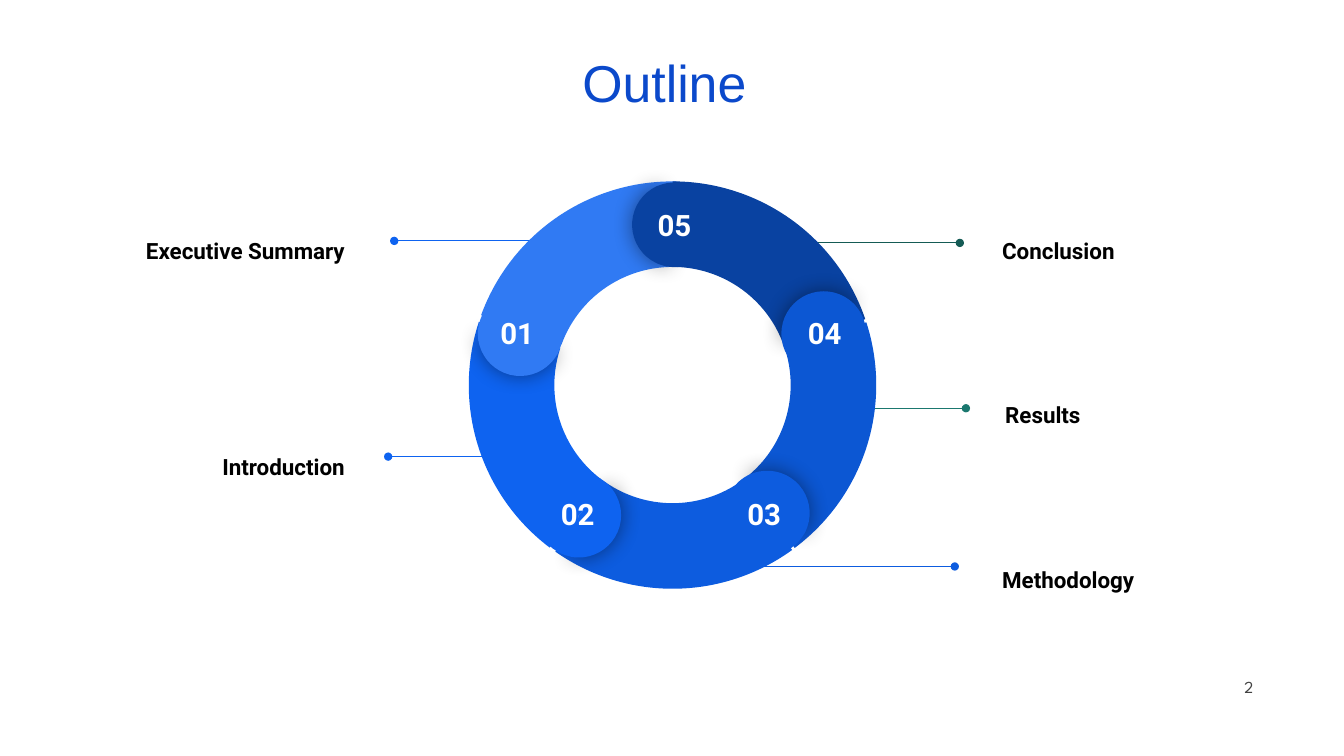
from lxml.etree import SubElement
from pptx import Presentation
from pptx.dml.color import RGBColor
from pptx.enum.shapes import MSO_CONNECTOR as Connector, MSO_SHAPE as Shape
from pptx.enum.text import MSO_ANCHOR as Anchor, MSO_AUTO_SIZE as AutoSize, PP_ALIGN as Align
from pptx.oxml.ns import qn
from pptx.util import Inches, Pt

TITLE = "Outline"
PAGE_NUMBER = "2"
LABELS = [
    ("Executive Summary", 0.45, 1.81, Align.RIGHT),
    ("Introduction", 0.45, 3.95, Align.RIGHT),
    ("Conclusion", 9.81, 1.81, Align.LEFT),
    ("Results", 9.84, 3.44, Align.LEFT),
    ("Methodology", 9.81, 5.07, Align.LEFT),
]
LEADERS = [
    (5.27, 3.91, 2.39, "0E63F0"),
    (5.21, 3.85, 4.53, "0E63F0"),
    (7.68, 9.52, 2.41, "155B55"),
    (8.29, 9.58, 4.05, "1B786F"),
    (6.79, 9.47, 5.62, "0D5CDF"),
]
# number, colour, arc rotation, cap left, cap top, cap rotation, number left, number top
SEGMENTS = [
    ("01", "307AF3", 350, 4.74, 2.89, 284.1, 4.76, 3),
    ("02", "0E63F0", 277, 5.32, 4.69, 211.1, 5.36, 4.79),
    ("03", "0D5CDF", 204, 7.19, 4.67, 139.1, 7.21, 4.79),
    ("04", "0C57D3", 132, 7.75, 2.89, 67.1, 7.81, 3),
    ("05", "0942A1", 60, 6.27, 1.81, 357.1, 6.32, 1.92),
]
RING_LEFT, RING_TOP, RING_SIZE = 4.65, 1.8, 4.04
CAP_SIZE = 0.84
ARC_ADJUSTMENTS = (126.03, 168.68, 0.21)
SHADED_CAP = (61.9, 149.96)
PLAIN_CAP = (40.28, 171.84)
PLAIN_CAP_TURN = 179.3


def color(value):
    return RGBColor.from_string(value)


def write(shape, text, *, size, font, fill, bold=False, align=Align.CENTER,
          anchor=Anchor.MIDDLE, inset=(0.13, 0.13), spacing=None):
    frame = shape.text_frame
    frame.word_wrap = True
    frame.auto_size = AutoSize.NONE
    frame.vertical_anchor = anchor
    frame.margin_left = frame.margin_right = Inches(inset[0])
    frame.margin_top = frame.margin_bottom = Inches(inset[1])
    paragraph = frame.paragraphs[0]
    paragraph.alignment = align
    paragraph.line_spacing = spacing
    run = paragraph.add_run()
    run.text = text
    run.font.size = Pt(size)
    run.font.name = font
    run.font.bold = bold
    run.font.color.rgb = color(fill)


def add_box(slide, left, top, width, height):
    return slide.shapes.add_textbox(Inches(left), Inches(top), Inches(width), Inches(height))


def add_piece(slide, kind, left, top, size, rotation, adjustments, fill):
    shape = slide.shapes.add_shape(kind, Inches(left), Inches(top), Inches(size), Inches(size))
    shape.rotation = rotation % 360
    for index, value in enumerate(adjustments):
        shape.adjustments[index] = value
    shape.fill.solid()
    shape.fill.fore_color.rgb = color(fill)
    shape.line.fill.background()
    shape.shadow.inherit = False
    return shape


def add_glow(shape):
    effects = shape._element.spPr.find(qn("a:effectLst"))
    shadow = SubElement(effects, qn("a:outerShdw"), blurRad=str(Pt(15)), dist="0", dir="0",
                        algn="ctr", rotWithShape="0")
    black = SubElement(shadow, qn("a:srgbClr"), val="000000")
    SubElement(black, qn("a:alpha"), val="43000")


def add_leader(slide, start, end, height, fill):
    connector = slide.shapes.add_connector(
        Connector.STRAIGHT, Inches(start), Inches(height), Inches(end), Inches(height))
    connector.line.width = Pt(0.75)
    connector.line.color.rgb = color(fill)
    properties = connector._element.spPr
    SubElement(properties.find(qn("a:ln")), qn("a:tailEnd"), type="oval")
    SubElement(properties, qn("a:effectLst"))


def main():
    presentation = Presentation()
    presentation.slide_width, presentation.slide_height = Inches(13.33), Inches(7.5)
    slide = presentation.slides.add_slide(presentation.slide_layouts[5])

    title = slide.shapes.title
    title.left, title.top = Inches(0.84), Inches(0.59)
    title.width, title.height = Inches(11.5), Inches(0.6)
    write(title, TITLE, size=37, font="Arial", fill="0B49CB", inset=(0.1, 0.05), spacing=0.7)
    write(add_box(slide, 9.53, 6.59, 3, 0.44), PAGE_NUMBER, size=12, font="League Spartan",
          fill="424242", align=Align.RIGHT, inset=(0.1, 0.05))

    for text, left, top, align in LABELS:
        write(add_box(slide, left, top, 3.1, 1.35), text, size=16, font="Roboto",
              fill="000000", bold=True, align=align)
    for leader in LEADERS:
        add_leader(slide, *leader)

    for _, fill, rotation, *_ in SEGMENTS:
        add_piece(slide, Shape.BLOCK_ARC, RING_LEFT, RING_TOP, RING_SIZE, rotation,
                  ARC_ADJUSTMENTS, fill)
    for number, fill, _, left, top, rotation, number_left, number_top in SEGMENTS:
        add_glow(add_piece(slide, Shape.PIE, left, top, CAP_SIZE, rotation, SHADED_CAP, fill))
        add_piece(slide, Shape.PIE, left, top, CAP_SIZE, rotation + PLAIN_CAP_TURN,
                  PLAIN_CAP, fill)
        write(add_box(slide, number_left, number_top, 0.74, 0.39), number, size=21,
              font="Roboto", fill="FFFFFF", bold=True, anchor=Anchor.TOP)

    presentation.save("out.pptx")


if __name__ == "__main__":
    main()
